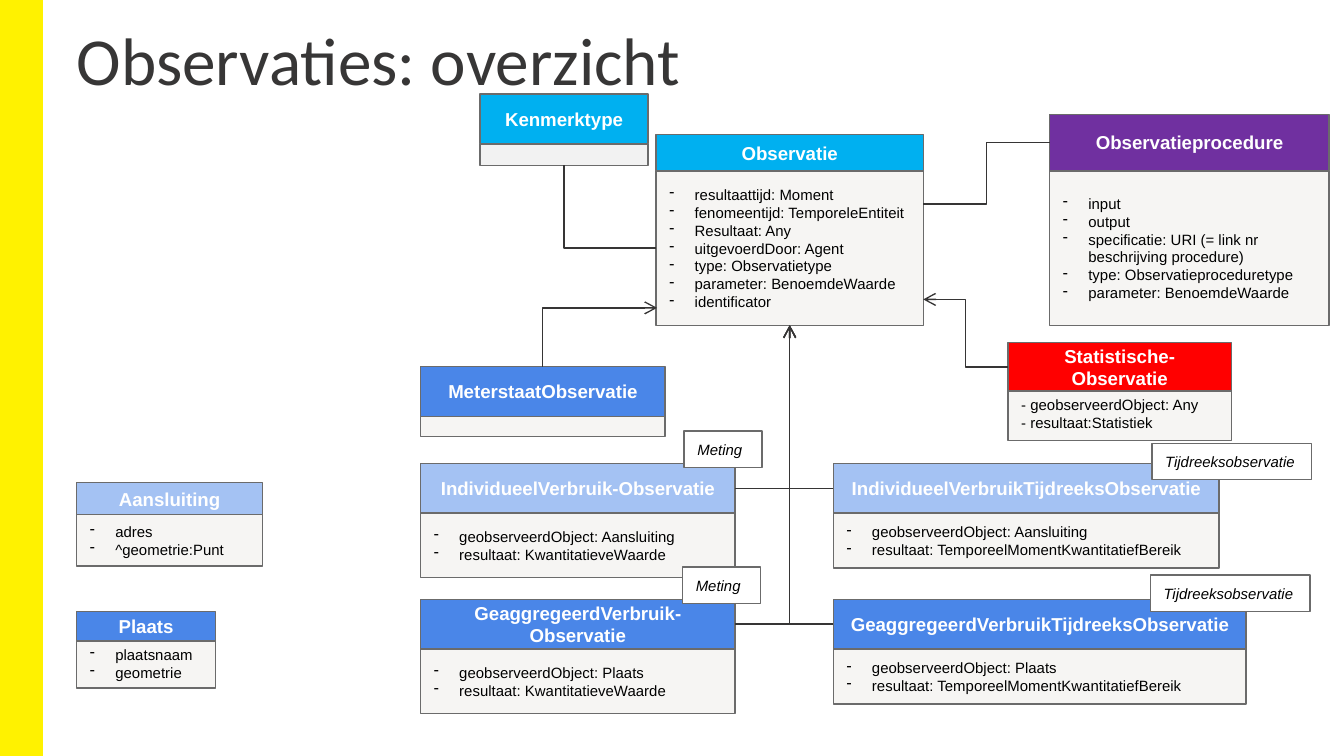
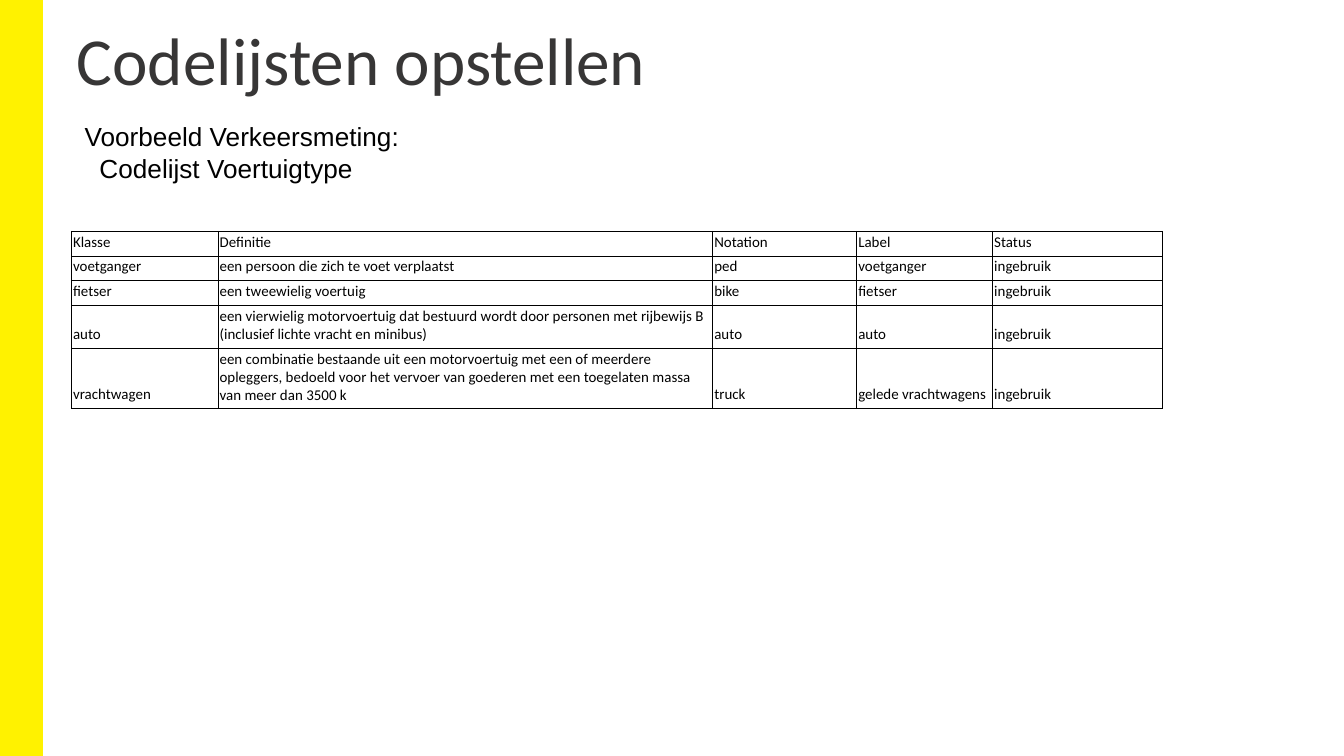
from dataclasses import dataclass
from typing import NamedTuple, Union

from lxml import etree
from pptx import Presentation
from pptx.dml.color import RGBColor
from pptx.enum import shapes, text
from pptx.oxml import ns
from pptx.util import Cm, Pt

YELLOW = RGBColor(0xFF, 0xF2, 0x00)
TITLE_GREY = RGBColor(0x37, 0x36, 0x36)
LINK_GREY = RGBColor(0x36, 0x35, 0x35)
EDGE_GREY = RGBColor(0x6B, 0x6B, 0x6B)
BODY_GREY = RGBColor(0xF6, 0xF5, 0xF3)
EMPTY_GREY = RGBColor(0xF2, 0xF2, 0xF2)
WHITE = RGBColor(0xFF, 0xFF, 0xFF)
BLACK = RGBColor(0x00, 0x00, 0x00)
CYAN = RGBColor(0x00, 0xB0, 0xF0)
PURPLE = RGBColor(0x70, 0x30, 0xA0)
BLUE = RGBColor(0x4A, 0x86, 0xE8)
RED = RGBColor(0xFF, 0x00, 0x00)

PAGE_WIDTH, PAGE_HEIGHT = Cm(25.4), Cm(14.29)
TOP, LEFT, BOTTOM, RIGHT = range(4)


@dataclass
class UmlClass:
    """A named header above a body of attributes; lengths in cm."""
    name: str
    left: float
    top: float
    width: float
    header_height: float
    body_height: float
    fill: RGBColor
    attributes: tuple[str, ...] = ()
    overlap: float = 0
    faded: bool = False
    bulleted: bool = True
    body_fill: RGBColor = BODY_GREY


class Tag(NamedTuple):
    label: str
    left: float
    top: float
    width: float


class Joint(NamedTuple):
    owner: str
    section: str
    side: int


class Spot(NamedTuple):
    x: float
    y: float


class Link(NamedTuple):
    """An elbow that leaves its start horizontally."""
    start: Union[Joint, Spot]
    end: Union[Joint, Spot]
    bends: int = 1
    arrow: str = ""


VALUE = "resultaat: KwantitatieveWaarde"
SERIES = "resultaat: TemporeelMomentKwantitatiefBereik"
CONNECTION = "geobserveerdObject: Aansluiting"
PLACE = "geobserveerdObject: Plaats"
METER_LEFT, SERIES_LEFT = 7.95, 15.75
SINGLE_TOP, TOTAL_TOP = 8.76, 11.33

CLASSES = [
    UmlClass("Observatie", 12.4, 2.54, 5.05, 0.69, 2.92, CYAN, (
        "resultaattijd: Moment", "fenomeentijd: TemporeleEntiteit",
        "Resultaat: Any", "uitgevoerdDoor: Agent", "type: Observatietype",
        "parameter: BenoemdeWaarde", "identificator")),
    UmlClass("Observatieprocedure", 19.84, 2.16, 5.28, 1.07, 2.92, PURPLE, (
        "input", "output",
        "specificatie: URI (= link nr beschrijving procedure)",
        "type: Observatieproceduretype", "parameter: BenoemdeWaarde")),
    UmlClass("Kenmerktype", 9.07, 1.78, 3.18, 0.94, 0.41, CYAN,
             body_fill=EMPTY_GREY),
    UmlClass("MeterstaatObservatie", METER_LEFT, 6.93, 4.62, 0.94, 0.46, BLUE,
             overlap=0.08),
    UmlClass("Statistische-Observatie", 19.05, 6.48, 4.22, 0.91, 1.02, RED,
             ("- geobserveerdObject: Any", "- resultaat:Statistiek"),
             overlap=0.08, bulleted=False),
    UmlClass("IndividueelVerbruik-Observatie", METER_LEFT, SINGLE_TOP, 5.94,
             0.94, 1.22, BLUE, (CONNECTION, VALUE), faded=True),
    UmlClass("IndividueelVerbruikTijdreeksObservatie", SERIES_LEFT, SINGLE_TOP,
             7.29, 0.94, 1.04, BLUE, (CONNECTION, SERIES), faded=True),
    UmlClass("GeaggregeerdVerbruik-Observatie", METER_LEFT, TOTAL_TOP, 5.94,
             0.94, 1.22, BLUE, (PLACE, VALUE)),
    UmlClass("GeaggregeerdVerbruikTijdreeksObservatie", SERIES_LEFT, TOTAL_TOP,
             7.8, 0.94, 1.04, BLUE, (PLACE, SERIES)),
    UmlClass("Aansluiting", 1.45, 9.12, 3.51, 0.61, 0.97, BLUE,
             ("adres", "^geometrie:Punt"), faded=True),
    UmlClass("Plaats", 1.45, 11.56, 2.62, 0.56, 0.94, BLUE,
             ("plaatsnaam", "geometrie"), overlap=0.05),
]

TAGS = [
    Tag("Meting", 12.93, 8.15, 1.47),
    Tag("Tijdreeksobservatie", 21.77, 8.38, 3.02),
    Tag("Meting", 12.9, 10.72, 1.47),
    Tag("Tijdreeksobservatie", 21.74, 10.87, 3.02),
]

LINKS = [
    Link(Joint("Observatie", "body", LEFT), Joint("Kenmerktype", "body", BOTTOM)),
    Link(Spot(17.45, 3.86), Joint("Observatieprocedure", "header", LEFT), 2),
    Link(Joint("Statistische-Observatie", "header", LEFT), Spot(17.45, 5.66),
         2, "tailEnd"),
    Link(Spot(12.42, 5.82), Joint("MeterstaatObservatie", "header", TOP),
         1, "headEnd"),
] + [
    Link(Joint(name, "header", side), Joint("Observatie", "body", BOTTOM),
         1, "tailEnd")
    for name, side in (
        ("IndividueelVerbruik-Observatie", RIGHT),
        ("IndividueelVerbruikTijdreeksObservatie", LEFT),
        ("GeaggregeerdVerbruik-Observatie", RIGHT),
        ("GeaggregeerdVerbruikTijdreeksObservatie", LEFT))
]

CODE_LIST = [
    ("Klasse", "Definitie", "Notation", "Label", "Status"),
    ("voetganger", "een persoon die zich te voet verplaatst", "ped",
     "voetganger", "ingebruik"),
    ("fietser", "een tweewielig voertuig", "bike", "fietser", "ingebruik"),
    ("auto", "een vierwielig motorvoertuig dat bestuurd wordt door personen "
     "met rijbewijs B (inclusief lichte vracht en minibus)", "auto", "auto",
     "ingebruik"),
    ("vrachtwagen", "een combinatie bestaande uit een motorvoertuig met een of "
     "meerdere opleggers, bedoeld voor het vervoer van goederen met een "
     "toegelaten massa van meer dan 3500 k", "truck", "gelede vrachtwagens",
     "ingebruik"),
]
COLUMN_WIDTHS = (2.77, 9.35, 2.72, 2.57, 3.2)
ROW_HEIGHTS = (0.43, 0.43, 0.43, 0.76, 1.09)


# Text and shape helpers
def add_element(parent, tag: str, **attributes: str):
    return etree.SubElement(parent, ns.qn(tag), attributes)


def add_bullet(para) -> None:
    properties = para._p.get_or_add_pPr()
    properties.set("marL", str(Cm(0.48)))
    properties.set("indent", str(-Cm(0.48)))
    add_element(add_element(properties, "a:buClr"), "a:srgbClr", val=str(BLACK))
    add_element(properties, "a:buChar", char="-")


def write(frame, lines, *, size: float = 8, font: str = "Arial",
          color: RGBColor = BLACK, bold: bool = False, italic: bool = False,
          align=text.PP_ALIGN.LEFT, bulleted: bool = False) -> None:
    for number, line in enumerate(lines):
        para = frame.add_paragraph() if number else frame.paragraphs[0]
        para.alignment = align
        if bulleted:
            add_bullet(para)
        span = para.add_run()
        span.text = line
        span.font.name, span.font.size = font, Pt(size)
        span.font.bold, span.font.italic = bold, italic
        span.font.color.rgb = color


def set_insets(target, left: float, top: float, right: float, bottom: float) -> None:
    target.margin_left, target.margin_top = Cm(left), Cm(top)
    target.margin_right, target.margin_bottom = Cm(right), Cm(bottom)


def add_box(page, left: float, top: float, width: float, height: float,
            fill: RGBColor, lines=(), faded: bool = False, **style):
    box = page.shapes.add_shape(shapes.MSO_SHAPE.RECTANGLE, Cm(left), Cm(top),
                                Cm(width), Cm(height))
    box.shadow.inherit = False
    box.fill.solid()
    box.fill.fore_color.rgb = fill
    if faded:
        color = box._element.spPr.find(ns.qn("a:solidFill"))[0]
        add_element(color, "a:alpha", val="50000")
    box.line.color.rgb = EDGE_GREY
    box.line.width = Pt(0.75)
    frame = box.text_frame
    frame.word_wrap = True
    frame.vertical_anchor = text.MSO_ANCHOR.MIDDLE
    set_insets(frame, 0.25, 0.25, 0.25, 0.25)
    write(frame, lines, **style)
    return box


def add_page(deck, title: str, title_height: float):
    page = deck.slides.add_slide(deck.slide_layouts[5])
    # Yellow band along the left edge
    band = add_box(page, 0, 0, 0.79, PAGE_HEIGHT.cm, YELLOW)
    band.line.color.rgb = YELLOW
    band.line.width = Pt(1)
    # Title
    heading = page.shapes.title
    heading.left, heading.top = Cm(1.27), Cm(0.25)
    heading.width, heading.height = Cm(23.5), Cm(title_height)
    frame = heading.text_frame
    frame.auto_size = text.MSO_AUTO_SIZE.NONE
    frame.vertical_anchor = text.MSO_ANCHOR.TOP
    set_insets(frame, 0.18, 0.1, 0.18, 0.1)
    write(frame, [title], size=36, font="Calibri", color=TITLE_GREY)
    return page


# Class diagram
def add_class(page, uml: UmlClass) -> dict:
    body_top = uml.top + uml.header_height - uml.overlap
    body = add_box(page, uml.left, body_top, uml.width, uml.body_height,
                   uml.body_fill, uml.attributes, bulleted=uml.bulleted)
    header = add_box(page, uml.left, uml.top, uml.width, uml.header_height,
                     uml.fill, [uml.name], faded=uml.faded, size=10,
                     color=WHITE, bold=True, align=text.PP_ALIGN.CENTER)
    return {"header": header, "body": body}


def locate(end: Union[Joint, Spot], drawn: dict) -> tuple[int, int]:
    if isinstance(end, Spot):
        return Cm(end.x), Cm(end.y)
    box = drawn[end.owner][end.section]
    across, down = {TOP: (1, 0), LEFT: (0, 1), BOTTOM: (1, 2), RIGHT: (2, 1)}[end.side]
    return box.left + box.width * across // 2, box.top + box.height * down // 2


def add_link(page, link: Link, drawn: dict) -> None:
    line = page.shapes.add_connector(
        shapes.MSO_CONNECTOR.ELBOW, *locate(link.start, drawn),
        *locate(link.end, drawn))
    for end, join in ((link.start, line.begin_connect), (link.end, line.end_connect)):
        if isinstance(end, Joint):
            join(drawn[end.owner][end.section], end.side)
    line.line.color.rgb = LINK_GREY
    line.line.width = Pt(0.75)
    properties = line._element.spPr
    properties.find(ns.qn("a:prstGeom")).set("prst", f"bentConnector{link.bends + 1}")
    if link.arrow:
        add_element(properties.find(ns.qn("a:ln")), f"a:{link.arrow}", type="arrow")
    add_element(properties, "a:effectLst")


def build_overview(deck) -> None:
    page = add_page(deck, "Observaties: overzicht", 1.52)
    drawn = {uml.name: add_class(page, uml) for uml in CLASSES}
    for link in LINKS:
        add_link(page, link, drawn)
    for tag in TAGS:
        add_box(page, tag.left, tag.top, tag.width, 0.69, WHITE, [tag.label],
                italic=True)


# Code list table
def format_cell(cell, content: str) -> None:
    cell.vertical_anchor = text.MSO_ANCHOR.BOTTOM
    set_insets(cell, 0.03, 0.03, 0.03, 0.1)
    write(cell.text_frame, [content], font="Calibri")
    properties = cell._tc.get_or_add_tcPr()
    for side in "LRTB":
        border = add_element(properties, f"a:ln{side}", w=str(Pt(0.5)))
        add_element(add_element(border, "a:solidFill"), "a:srgbClr", val=str(BLACK))
    cell.fill.background()


def build_code_list(deck) -> None:
    page = add_page(deck, "Codelijsten opstellen", 1.98)
    box = page.shapes.add_textbox(Cm(1.35), Cm(2.16), Cm(6.68), Cm(1.45))
    frame = box.text_frame
    frame.word_wrap = False
    frame.auto_size = text.MSO_AUTO_SIZE.SHAPE_TO_FIT_TEXT
    write(frame, ["Voorbeeld Verkeersmeting:", "Codelijst Voertuigtype"], size=14)
    frame.paragraphs[1]._p.get_or_add_pPr().set("marL", str(Cm(0.28)))

    table = page.shapes.add_table(
        len(ROW_HEIGHTS), len(COLUMN_WIDTHS), Cm(1.35), Cm(4.37),
        Cm(sum(COLUMN_WIDTHS)), Cm(sum(ROW_HEIGHTS))).table
    table.first_row = table.horz_banding = False
    for column, width in zip(table.columns, COLUMN_WIDTHS):
        column.width = Cm(width)
    for row, height, contents in zip(table.rows, ROW_HEIGHTS, CODE_LIST):
        row.height = Cm(height)
        for cell, content in zip(row.cells, contents):
            format_cell(cell, content)


def main() -> None:
    deck = Presentation()
    deck.slide_width, deck.slide_height = PAGE_WIDTH, PAGE_HEIGHT
    build_overview(deck)
    build_code_list(deck)
    deck.save("out.pptx")


if __name__ == "__main__":
    main()
